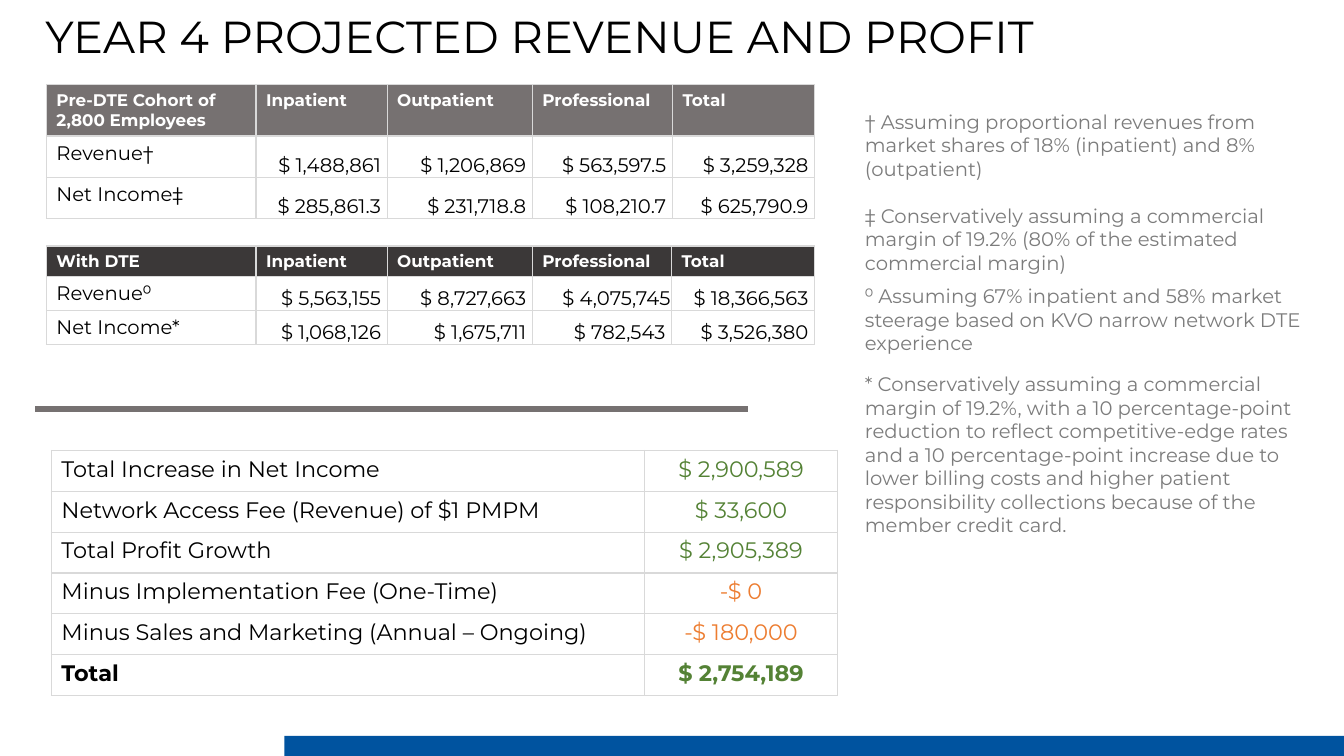
import pptx
import pptx.dml.color
import pptx.enum.shapes
import pptx.enum.text
import pptx.oxml.ns
import pptx.util
from lxml import etree

Inches = pptx.util.Inches
Pt = pptx.util.Pt
ALIGN = pptx.enum.text.PP_ALIGN
ANCHOR = pptx.enum.text.MSO_ANCHOR
qn = pptx.oxml.ns.qn

BLACK, WHITE, GRAY, DARK = "000000", "FFFFFF", "767171", "3B3838"
NOTE, BORDER, GREEN, ORANGE, BLUE = "7C7C7C", "D9D9D9", "548235", "ED7D31", "00539F"


def rgb(value):
    return pptx.dml.color.RGBColor.from_string(value)


class Deck:
    font = "Montserrat"

    def __init__(self):
        self.prs = pptx.Presentation()
        self.prs.slide_width = Inches(13.33)
        self.prs.slide_height = Inches(7.5)
        self.slide = self.prs.slides.add_slide(self.prs.slide_layouts[5])

    def set_text(self, tf, text, size, color, bold=False, align=ALIGN.LEFT):
        p = tf.paragraphs[0]
        p.text = text
        p.alignment = align
        p.font.name = self.font
        p.font.size = Pt(size)
        p.font.bold = bold
        p.font.color.rgb = rgb(color)

    def title(self, text, left, top, width, height):
        sp = self.slide.shapes.title
        sp.left, sp.top = Inches(left), Inches(top)
        sp.width, sp.height = Inches(width), Inches(height)
        tf = sp.text_frame
        tf.word_wrap = True
        tf.auto_size = pptx.enum.text.MSO_AUTO_SIZE.NONE
        tf.vertical_anchor = ANCHOR.TOP
        self.set_text(tf, text, 32, BLACK)

    def note(self, text, left, top, width, height):
        sp = self.slide.shapes.add_textbox(
            Inches(left), Inches(top), Inches(width), Inches(height))
        sp.text_frame.word_wrap = True
        self.set_text(sp.text_frame, text, 14, NOTE)

    def bar(self, left, top, width, height, color):
        sp = self.slide.shapes.add_shape(
            pptx.enum.shapes.MSO_SHAPE.RECTANGLE,
            Inches(left), Inches(top), Inches(width), Inches(height))
        sp.shadow.inherit = False
        sp.fill.solid()
        sp.fill.fore_color.rgb = rgb(color)
        sp.line.fill.background()

    def rule(self, left, right, y):
        cx = self.slide.shapes.add_connector(
            pptx.enum.shapes.MSO_CONNECTOR.STRAIGHT,
            Inches(left), Inches(y), Inches(right), Inches(y))
        cx.line.color.rgb = rgb(GRAY)
        cx.line.width = Pt(4.5)
        etree.SubElement(cx._element.spPr, qn("a:effectLst"))

    def table(self, left, top, cols, rows):
        frame = self.slide.shapes.add_table(
            len(rows), len(cols), Inches(left), Inches(top),
            Inches(sum(cols)), Inches(sum(rows)))
        tbl = frame.table
        tbl.first_row = tbl.horz_banding = False
        for col, width in zip(tbl.columns, cols):
            col.width = Inches(width)
        for row, height in zip(tbl.rows, rows):
            row.height = Inches(height)
        for cell in tbl.iter_cells():
            self.outline(cell)
            cell.fill.background()
        return tbl

    def outline(self, cell):
        tcPr = cell._tc.get_or_add_tcPr()
        for side in ("lnL", "lnR", "lnT", "lnB"):
            ln = etree.SubElement(tcPr, qn("a:" + side), w=str(Pt(1)))
            fill = etree.SubElement(ln, qn("a:solidFill"))
            etree.SubElement(fill, qn("a:srgbClr"), val=BORDER)

    def cohort(self, top, cols, rows, color, data):
        tbl = self.table(0.46, top, cols, rows)
        for r, values in enumerate(data):
            for c, text in enumerate(values):
                cell = tbl.cell(r, c)
                if r == 0:
                    cell.fill.solid()
                    cell.fill.fore_color.rgb = rgb(color)
                    self.set_text(cell.text_frame, text, 12, WHITE, bold=True)
                elif c == 0:
                    self.set_text(cell.text_frame, text, 14, BLACK)
                else:
                    cell.vertical_anchor = ANCHOR.BOTTOM
                    cell.margin_left = cell.margin_top = Inches(0.01)
                    cell.margin_right = Inches(0.06)
                    cell.margin_bottom = 0
                    self.set_text(cell.text_frame, text, 14, BLACK, align=ALIGN.RIGHT)
        return tbl

    def summary(self, left, top, cols, height, data):
        tbl = self.table(left, top, cols, [height / len(data)] * len(data))
        for r, (label, amount) in enumerate(data):
            bold = label == "Total"
            color = ORANGE if amount.startswith("-") else GREEN
            self.set_text(tbl.cell(r, 0).text_frame, label, 16, BLACK, bold)
            self.set_text(tbl.cell(r, 1).text_frame, amount, 16, color, bold, ALIGN.CENTER)


def main():
    deck = Deck()
    deck.title("YEAR 4 PROJECTED REVENUE AND PROFIT", 0.35, 0.04, 11.25, 0.64)

    services = ["Inpatient", "Outpatient", "Professional", "Total"]
    deck.cohort(0.84, [2.08, 1.3, 1.44, 1.39, 1.41], [0.51, 0.41, 0.41], GRAY, [
        ["Pre-DTE Cohort of 2,800 Employees"] + services,
        ["Revenue†", "$ 1,488,861", "$ 1,206,869", "$ 563,597.5", "$ 3,259,328"],
        ["Net Income‡", "$ 285,861.3", "$ 231,718.8", "$ 108,210.7", "$ 625,790.9"],
    ])
    with_dte = deck.cohort(2.44, [2.08, 1.3, 1.44, 1.38, 1.42], [0.3, 0.33, 0.34], DARK, [
        ["With DTE"] + services,
        ["Revenue⁰", "$ 5,563,155", "$ 8,727,663", "$ 4,075,745", "$ 18,366,563"],
        ["Net Income*", "$ 1,068,126", "$ 1,675,711", "$ 782,543", "$ 3,526,380"],
    ])
    with_dte.cell(1, 3).margin_right = Inches(0.01)

    deck.rule(0.35, 7.42, 4.06)
    deck.summary(0.51, 4.47, [5.88, 1.92], 2.43, [
        ("Total Increase in Net Income", "$ 2,900,589"),
        ("Network Access Fee (Revenue) of $1 PMPM", "$ 33,600"),
        ("Total Profit Growth", "$ 2,905,389"),
        ("Minus Implementation Fee (One-Time)", "-$ 0"),
        ("Minus Sales and Marketing (Annual – Ongoing)", "-$ 180,000"),
        ("Total", "$ 2,754,189"),
    ])

    notes = [
        (1.04, 0.81, "† Assuming proportional revenues from market shares of 18% "
         "(inpatient) and 8% (outpatient)"),
        (1.97, 0.81, "‡ Conservatively assuming a commercial margin of 19.2% "
         "(80% of the estimated commercial margin)"),
        (2.77, 0.81, "⁰ Assuming 67% inpatient and 58% market steerage based on "
         "KVO narrow network DTE experience"),
        (3.64, 1.75, "* Conservatively assuming a commercial margin of 19.2%, with a "
         "10 percentage-point reduction to reflect competitive-edge rates and a "
         "10 percentage-point increase due to lower billing costs and higher patient "
         "responsibility collections because of the member credit card."),
    ]
    for top, height, text in notes:
        deck.note(text, 8.48, top, 4.72, height)

    deck.bar(2.82, 7.3, 10.51, 0.2, BLUE)
    deck.prs.save("out.pptx")


if __name__ == "__main__":
    main()
